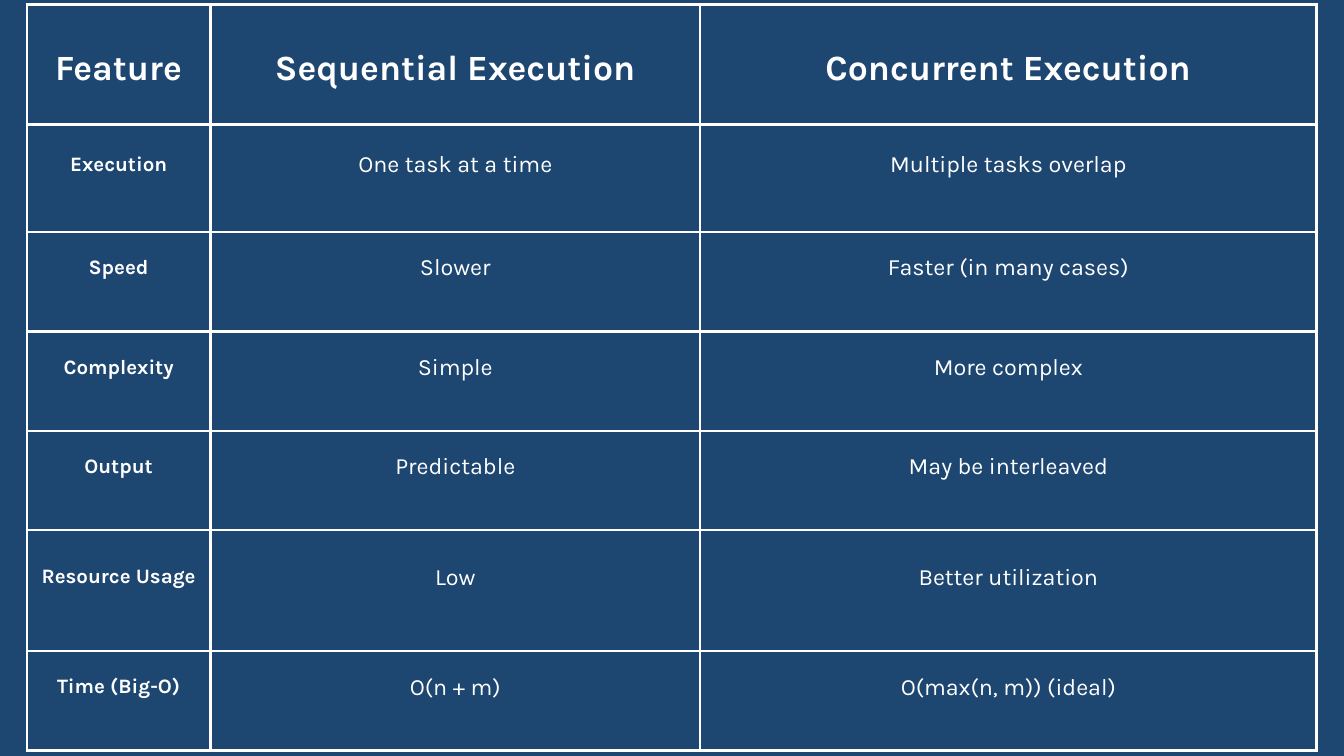
import pptx
import pptx.util
import pptx.dml.color
import pptx.enum.text
import pptx.oxml
import pptx.oxml.ns

Inches = pptx.util.Inches
Pt = pptx.util.Pt

# Content
ROWS = [
    ("Feature", "Sequential Execution", "Concurrent Execution"),
    ("Execution", "One task at a time", "Multiple tasks overlap"),
    ("Speed", "Slower", "Faster (in many cases)"),
    ("Complexity", "Simple", "More complex"),
    ("Output", "Predictable", "May be interleaved"),
    ("Resource Usage", "Low", "Better utilization"),
    ("Time (Big-O)", "O(n + m)", "O(max(n, m)) (ideal)"),
]
COLUMN_WIDTHS = [2.73, 7.29, 9.17]
ROW_HEIGHTS = [1.78, 1.6, 1.48, 1.48, 1.48, 1.8, 1.48]

# Style
COLORS = {"background": "1D4670", "ink": "FFFFFF"}
FONT = "Karla"
HEADER_SIZE, LABEL_SIZE, VALUE_SIZE = 38, 22, 25
LINE_SPACING = 1.4
MARGIN = 0.21
BODY_LIFT = 0.48  # extra bottom margin that raises the body text
BORDER_WIDTH = 3


def rgb(name):
    return pptx.dml.color.RGBColor.from_string(COLORS[name])


def add_borders(cell):
    properties = cell._tc.get_or_add_tcPr()
    for position, side in enumerate(("lnL", "lnR", "lnT", "lnB")):
        border = pptx.oxml.parse_xml(
            f'<a:{side} {pptx.oxml.ns.nsdecls("a")} w="{Pt(BORDER_WIDTH)}">'
            f'<a:solidFill><a:srgbClr val="{COLORS["ink"]}"/></a:solidFill>'
            f'<a:prstDash val="solid"/></a:{side}>'
        )
        properties.insert(position, border)


def fill_cell(cell, text, size, bold, lift):
    cell.fill.background()
    add_borders(cell)
    cell.vertical_anchor = pptx.enum.text.MSO_ANCHOR.MIDDLE
    cell.margin_left = cell.margin_right = cell.margin_top = Inches(MARGIN)
    cell.margin_bottom = Inches(MARGIN + lift)
    paragraph = cell.text_frame.paragraphs[0]
    paragraph.text = text
    paragraph.alignment = pptx.enum.text.PP_ALIGN.CENTER
    paragraph.line_spacing = Pt(size * LINE_SPACING)
    font = paragraph.runs[0].font
    font.name, font.size, font.bold = FONT, Pt(size), bold
    font.color.rgb = rgb("ink")


# Slide
presentation = pptx.Presentation()
presentation.slide_width = Inches(20)
presentation.slide_height = Inches(11.25)
slide = presentation.slides.add_slide(presentation.slide_layouts[6])
slide.background.fill.solid()
slide.background.fill.fore_color.rgb = rgb("background")

# Comparison table
table = slide.shapes.add_table(
    len(ROWS), len(COLUMN_WIDTHS), Inches(0.4), Inches(0.07),
    Inches(sum(COLUMN_WIDTHS)), Inches(sum(ROW_HEIGHTS)),
).table
table.horz_banding = False
for column, width in zip(table.columns, COLUMN_WIDTHS):
    column.width = Inches(width)
for row, height in zip(table.rows, ROW_HEIGHTS):
    row.height = Inches(height)

for row_index, texts in enumerate(ROWS):
    for column_index, text in enumerate(texts):
        is_header, is_label = row_index == 0, column_index == 0
        size = HEADER_SIZE if is_header else LABEL_SIZE if is_label else VALUE_SIZE
        fill_cell(table.cell(row_index, column_index), text, size,
                  bold=is_header or is_label, lift=0 if is_header else BODY_LIFT)

presentation.save("out.pptx")
